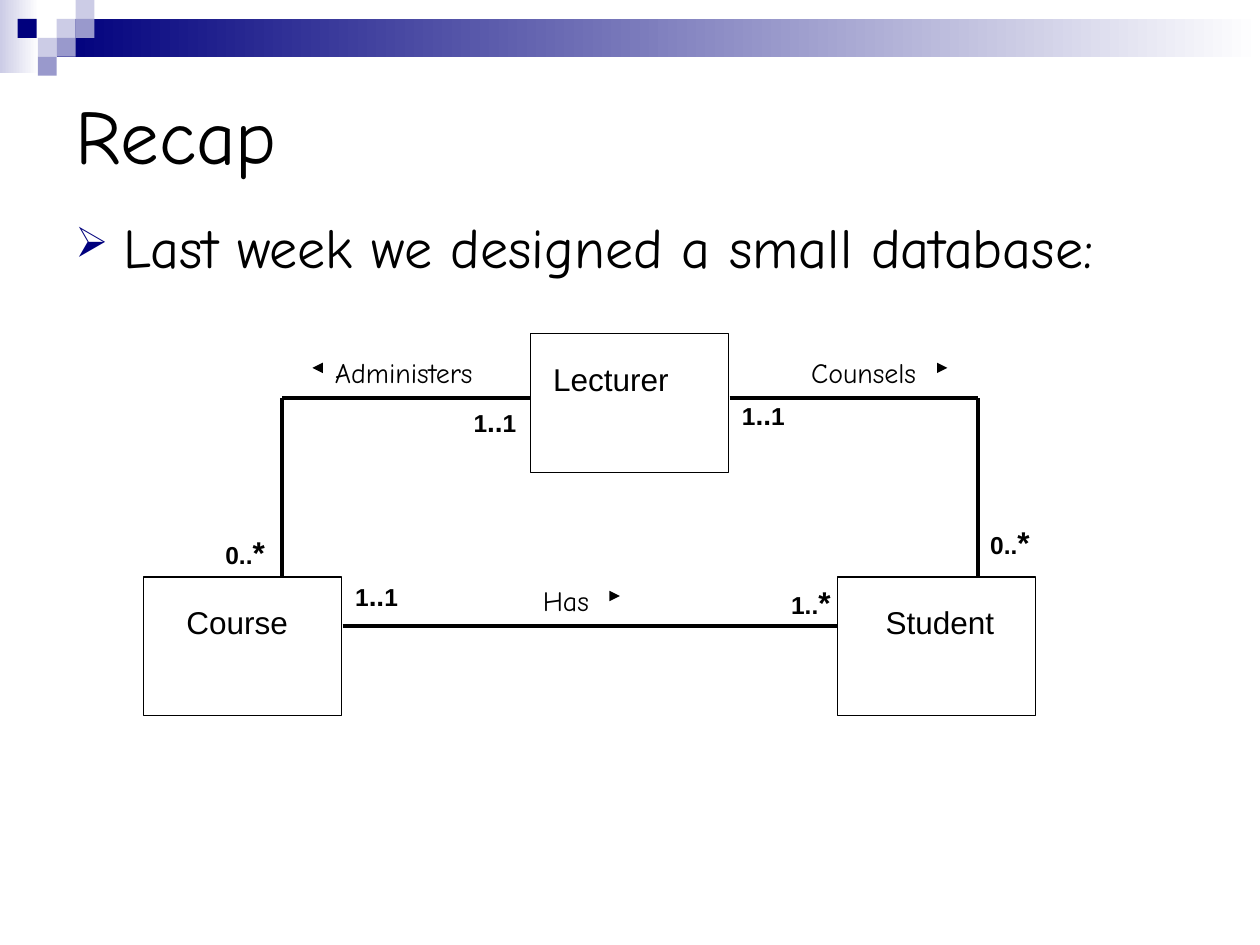
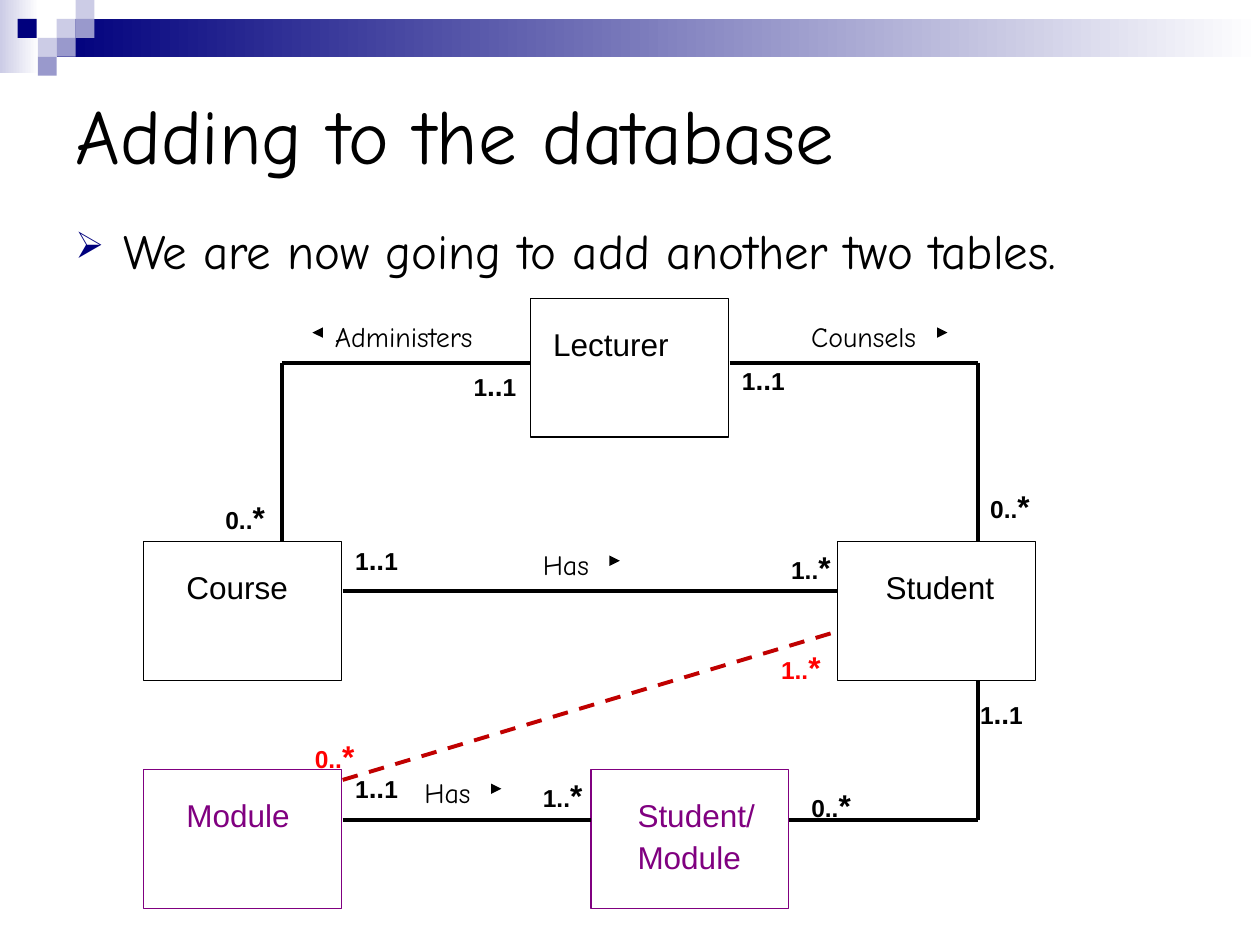
from dataclasses import dataclass
from itertools import pairwise

from lxml.etree import SubElement
from pptx import Presentation
from pptx.dml.color import RGBColor
from pptx.enum.dml import MSO_LINE_DASH_STYLE as Dash
from pptx.enum.shapes import MSO_CONNECTOR as Connector, MSO_SHAPE as Shape
from pptx.enum.text import MSO_ANCHOR as Anchor, MSO_AUTO_SIZE as AutoSize, PP_ALIGN as Align
from pptx.oxml.ns import qn
from pptx.util import Inches, Pt


@dataclass(frozen=True)
class Theme:
    black: str = "000000"
    white: str = "FFFFFF"
    navy: str = "00007D"
    lilac: str = "9999CC"
    pale: str = "CCCCE6"
    purple: str = "800080"
    red: str = "FF0000"
    dark_red: str = "C00000"
    hand: str = "Comic Neue"
    plain: str = "Arial"
    title_size: int = 44
    entity_size: int = 18
    verb_size: int = 16
    thin: float = 0.75
    thick: float = 2.25


THEME = Theme()

BANDS = [
    (0, 0, 0.31, 0.58, THEME.pale),
    (0.45, 0.15, 9.55, 0.3, THEME.navy),
]
TILE = 0.15
TILES = [
    (0.45, 0.15, THEME.pale),
    (0.6, 0, THEME.pale),
    (0.6, 0.15, THEME.lilac),
    (0.3, 0.3, THEME.pale),
    (0.14, 0.15, THEME.navy),
    (0.45, 0.3, THEME.lilac),
    (0.3, 0.45, THEME.lilac),
]

ENTITY_W, ENTITY_H = 1.57, 1.1
MULTIPLICITIES = {
    "1..1": (0.71, 0.37, [("1", 14), ("..", 16), ("1", 14)]),
    "1..*": (0.55, 0.4, [("1..", 14), ("*", 18)]),
    "0..*": (0.55, 0.4, [("0..", 14), ("*", 18)]),
}

BASE_MODEL = {
    "entities": [
        ("Lecturer", 4.21, 0, 0.08, THEME.black),
        ("Course", 1.14, 1.93, 0.24, THEME.black),
        ("Student", 6.65, 1.93, 0.28, THEME.black),
    ],
    "relations": [
        [(4.21, 0.51), (2.24, 0.51), (2.24, 1.93)],
        [(5.79, 0.51), (7.76, 0.51), (7.76, 1.93)],
        [(2.72, 2.32), (6.65, 2.32)],
    ],
    "dashed": [],
    "verbs": [
        ("Administers", 2.56, 0.12, 1.65, "left"),
        ("Counsels", 6.34, 0.12, 1.1, "right"),
        ("Has", 4.21, 1.93, 0.63, "right"),
    ],
    "ends": [
        ("1..1", 3.66, 0.51, THEME.black),
        ("1..1", 5.79, 0.46, THEME.black),
        ("0..*", 1.69, 1.53, THEME.black),
        ("0..*", 7.76, 1.45, THEME.black),
        ("1..1", 2.72, 1.89, THEME.black),
        ("1..*", 6.18, 1.93, THEME.black),
    ],
}
ADDED_MODEL = {
    "entities": [
        ("Module", 1.14, 3.74, 0.24, THEME.purple),
        ("Student/\nModule", 4.69, 3.74, 0.27, THEME.purple),
    ],
    "relations": [
        [(2.72, 4.14), (4.69, 4.14)],
        [(6.26, 4.14), (7.76, 4.14), (7.76, 3.03)],
    ],
    "dashed": [[(2.72, 3.82), (6.65, 2.64)]],
    "verbs": [("Has", 3.27, 3.74, 0.63, "right")],
    "ends": [
        ("1..1", 2.72, 3.7, THEME.black),
        ("1..*", 4.21, 3.74, THEME.black),
        ("0..*", 6.34, 3.82, THEME.black),
        ("1..1", 7.68, 3.11, THEME.black),
        ("1..*", 6.1, 2.72, THEME.red),
        ("0..*", 2.4, 3.43, THEME.red),
    ],
}

SLIDES = [
    {
        "title": "Recap",
        "point": "Last week we designed a small database:",
        "point_size": 32, "point_height": 0.63, "line_spacing": 0.9,
        "model_top": 2.65, "models": [BASE_MODEL],
    },
    {
        "title": "Adding to the database",
        "point": "We are now going to add another two tables.",
        "point_size": 28, "point_height": 1.02, "line_spacing": 1.0,
        "model_top": 2.37, "models": [BASE_MODEL, ADDED_MODEL],
    },
]


def rgb(colour):
    return RGBColor.from_string(colour)


def style(run, size, face, colour=THEME.black, bold=False):
    font = run.font
    font.size, font.name, font.bold = Pt(size), face, bold
    font.color.rgb = rgb(colour)


def add_rect(slide, x, y, w, h):
    rect = slide.shapes.add_shape(Shape.RECTANGLE, *map(Inches, (x, y, w, h)))
    rect.shadow.inherit = False
    return rect


def add_text(slide, x, y, w, h):
    frame = slide.shapes.add_textbox(*map(Inches, (x, y, w, h))).text_frame
    frame.word_wrap = True
    return frame


def add_master_frame(prs, slide):
    tiles = [(x, y, TILE, TILE, colour) for x, y, colour in TILES]
    for number, (x, y, w, h, colour) in enumerate(BANDS + tiles):
        part = add_rect(slide, x, y, w, h)
        part.line.fill.background()
        if number < len(BANDS):
            part.fill.gradient()
            part.fill.gradient_angle = 0
            for stop, shade, place in zip(part.fill.gradient_stops, (colour, THEME.white), (0, 1)):
                stop.color.rgb, stop.position = rgb(shade), place
        else:
            part.fill.solid()
            part.fill.fore_color.rgb = rgb(colour)
        part._element.nvSpPr.cNvPr.id = 100 + number
        prs.slide_master.shapes._spTree.append(part._element)


def add_title(slide, text):
    title = slide.shapes.title
    title.left, title.top, title.width, title.height = map(Inches, (0.5, 0.5, 9, 1.12))
    frame = title.text_frame
    frame.text = text
    frame.auto_size, frame.vertical_anchor = AutoSize.NONE, Anchor.MIDDLE
    frame.paragraphs[0].alignment = Align.LEFT
    style(frame.paragraphs[0].runs[0], THEME.title_size, THEME.hand)


def add_point(slide, text, size, height, spacing):
    paragraph = add_text(slide, 0.5, 1.7, 9, height).paragraphs[0]
    paragraph.text = text
    props = paragraph._p.get_or_add_pPr()
    props.set("marL", str(Inches(0.38)))
    props.set("indent", str(Inches(-0.38)))
    SubElement(SubElement(props, qn("a:buClr")), qn("a:srgbClr"), val=THEME.navy)
    SubElement(props, qn("a:buSzPct"), val="75000")
    SubElement(props, qn("a:buChar"), char="➢")
    paragraph.line_spacing = spacing
    style(paragraph.runs[0], size, THEME.hand)


def add_line(slide, start, end, colour=THEME.black, width=THEME.thick, dashed=False, arrow=False):
    line = slide.shapes.add_connector(Connector.STRAIGHT, *map(Inches, (*start, *end)))
    line.line.color.rgb, line.line.width = rgb(colour), Pt(width)
    if dashed:
        line.line.dash_style = Dash.DASH
    if arrow:
        SubElement(line.line._get_or_add_ln(), qn("a:tailEnd"), type="triangle")
    SubElement(line._element.spPr, qn("a:effectLst"))


def add_entity(slide, name, x, y, indent, colour):
    entity = add_rect(slide, x, y, ENTITY_W, ENTITY_H)
    entity.fill.background()
    entity.line.color.rgb, entity.line.width = rgb(colour), Pt(THEME.thin)
    frame = entity.text_frame
    frame.text = name
    frame.vertical_anchor = Anchor.TOP
    frame.margin_left, frame.margin_top = Inches(indent + 0.1), Inches(0.21)
    for number, paragraph in enumerate(frame.paragraphs):
        paragraph.alignment = Align.LEFT
        if number:
            paragraph.space_before = Pt(2.2)
        style(paragraph.runs[0], THEME.entity_size, THEME.plain, colour)


def add_verb(slide, verb, x, y, w, direction):
    frame = add_text(slide, x, y, w, 0.37)
    frame.text = verb
    style(frame.paragraphs[0].runs[0], THEME.verb_size, THEME.hand)
    start, step = (x, -0.08) if direction == "left" else (x + w, 0.08)
    add_line(slide, (start, y + 0.15), (start + step, y + 0.15), width=THEME.thin, arrow=True)


def add_end(slide, multiplicity, x, y, colour):
    w, h, pieces = MULTIPLICITIES[multiplicity]
    paragraph = add_text(slide, x, y, w, h).paragraphs[0]
    for text, size in pieces:
        run = paragraph.add_run()
        run.text = text
        style(run, size, THEME.plain, colour, bold=True)


def add_model(slide, model, top):
    for name, x, y, indent, colour in model["entities"]:
        add_entity(slide, name, x, top + y, indent, colour)
    for kind, colour in (("relations", THEME.black), ("dashed", THEME.dark_red)):
        for route in model[kind]:
            for start, end in pairwise((x, top + y) for x, y in route):
                add_line(slide, start, end, colour, dashed=kind == "dashed")
    for verb, x, y, w, direction in model["verbs"]:
        add_verb(slide, verb, x, top + y, w, direction)
    for multiplicity, x, y, colour in model["ends"]:
        add_end(slide, multiplicity, x, top + y, colour)


def main():
    prs = Presentation()
    prs.slide_width, prs.slide_height = Inches(10), Inches(7.5)
    title_only = prs.slide_layouts[5]
    for number, content in enumerate(SLIDES):
        slide = prs.slides.add_slide(title_only)
        if number == 0:
            add_master_frame(prs, slide)
        add_title(slide, content["title"])
        add_point(slide, content["point"], content["point_size"],
                  content["point_height"], content["line_spacing"])
        for model in content["models"]:
            add_model(slide, model, content["model_top"])
    prs.save("out.pptx")


if __name__ == "__main__":
    main()
